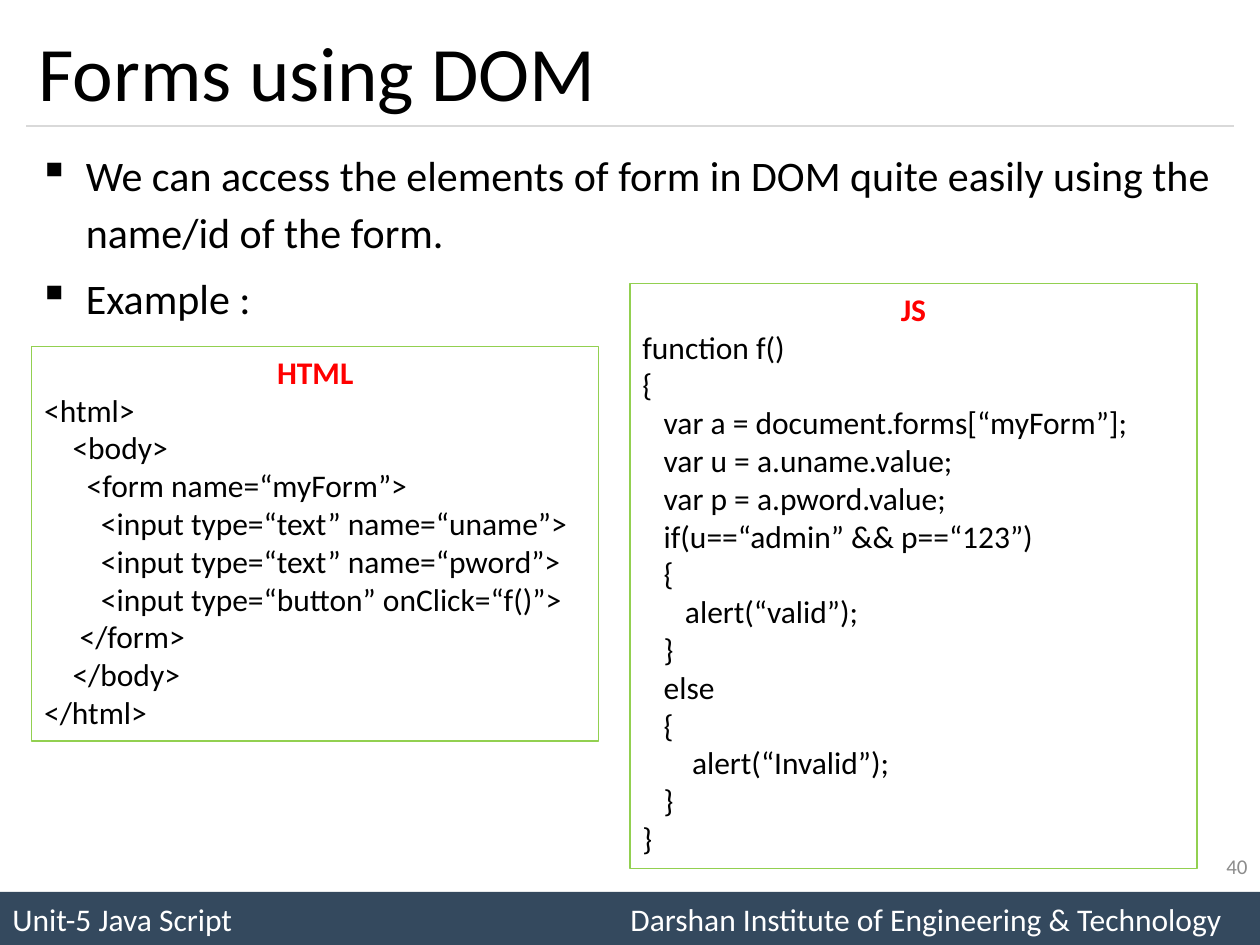
from lxml.etree import SubElement
from pptx import Presentation
from pptx.dml.color import RGBColor
from pptx.enum.shapes import MSO_CONNECTOR, MSO_SHAPE
from pptx.enum.text import MSO_ANCHOR, MSO_AUTO_SIZE, PP_ALIGN
from pptx.oxml.ns import qn
from pptx.util import Cm, Pt

FONT = "Calibri"
COLORS = {
    "text": "000000",
    "heading": "FF0000",
    "number": "8C8C8C",
    "rule": "D9D9D9",
    "frame": "92D050",
    "footer": "34495E",
    "footer_text": "FFFFFF",
}

POINTS = [
    "We can access the elements of form in DOM quite easily using the name/id of the form.",
    "Example :",
]

HTML_CODE = """\
<html>
    <body>
      <form name=“myForm”>
        <input type=“text” name=“uname”>
        <input type=“text” name=“pword”>
        <input type=“button” onClick=“f()”>
     </form>
    </body>
</html>"""

JS_CODE = """\
function f()
{
   var a = document.forms[“myForm”];
   var u = a.uname.value;
   var p = a.pword.value;
   if(u==“admin” && p==“123”)
   {
      alert(“valid”);
   }
   else
   {
       alert(“Invalid”);
   }
}"""


def color(name):
    return RGBColor.from_string(COLORS[name])


def add_run(paragraph, text, size, color_name, bold=False):
    run = paragraph.add_run()
    run.text = text
    run.font.name = FONT
    run.font.size = Pt(size)
    run.font.bold = bold
    run.font.color.rgb = color(color_name)


def add_text(slide, left, top, width, height, anchor=MSO_ANCHOR.TOP):
    frame = slide.shapes.add_textbox(Cm(left), Cm(top), Cm(width), Cm(height)).text_frame
    frame.word_wrap = True
    frame.vertical_anchor = anchor
    return frame


def add_rectangle(slide, left, top, width, height):
    rectangle = slide.shapes.add_shape(
        MSO_SHAPE.RECTANGLE, Cm(left), Cm(top), Cm(width), Cm(height))
    rectangle.shadow.inherit = False
    rectangle.text_frame.word_wrap = True
    return rectangle


def add_rule(slide, left, right, y):
    rule = slide.shapes.add_connector(
        MSO_CONNECTOR.STRAIGHT, Cm(left), Cm(y), Cm(right), Cm(y))
    rule.line.color.rgb = color("rule")
    rule.line.width = Pt(0.75)
    SubElement(rule._element.spPr, qn("a:effectLst"))


def add_footer(slide, unit, institute):
    bar = add_rectangle(slide, 0, 17.98, 25.4, 1.07)
    bar.fill.solid()
    bar.fill.fore_color.rgb = color("footer")
    bar.line.fill.background()
    bar.text_frame.vertical_anchor = MSO_ANCHOR.MIDDLE
    line = bar.text_frame.paragraphs[0]
    line.alignment = PP_ALIGN.LEFT
    # The tab stop places the institute on the right half
    tabs = SubElement(line._p.get_or_add_pPr(), qn("a:tabLst"))
    SubElement(tabs, qn("a:tab"), pos=str(Cm(12.46)), algn="l")
    add_run(line, f"{unit}\t{institute}", 18, "footer_text")


def add_bullets(frame, points):
    for index, point in enumerate(points):
        paragraph = frame.paragraphs[0] if index == 0 else frame.add_paragraph()
        paragraph.line_spacing = 1.14
        if index:
            paragraph.space_before = Pt(4.8)
        properties = paragraph._p.get_or_add_pPr()
        properties.set("marL", str(Cm(0.95)))
        properties.set("indent", str(-Cm(0.95)))
        SubElement(properties, qn("a:buChar"), char="▪")
        add_run(paragraph, point, 24, "text")


def add_code_box(slide, left, top, height, language, code):
    box = add_rectangle(slide, left, top, 11.43, height)
    box.fill.background()
    box.line.color.rgb = color("frame")
    box.line.width = Pt(0.75)
    frame = box.text_frame
    frame.auto_size = MSO_AUTO_SIZE.SHAPE_TO_FIT_TEXT
    frame.vertical_anchor = MSO_ANCHOR.TOP
    heading = frame.paragraphs[0]
    heading.alignment = PP_ALIGN.CENTER
    add_run(heading, language, 18, "heading", bold=True)
    for code_line in code.splitlines():
        paragraph = frame.add_paragraph()
        paragraph.alignment = PP_ALIGN.LEFT
        add_run(paragraph, code_line, 18, "text")


def main():
    deck = Presentation()
    deck.slide_width, deck.slide_height = Cm(25.4), Cm(19.05)
    slide = deck.slides.add_slide(deck.slide_layouts[6])

    # Footer bar and title rule
    add_footer(slide, "Unit-5 Java Script", "Darshan Institute of Engineering & Technology")
    add_rule(slide, 0.53, 24.87, 2.54)

    # Title
    title = add_text(slide, 0.53, 0.3, 24.34, 2.24, MSO_ANCHOR.MIDDLE)
    add_run(title.paragraphs[0], "Forms using DOM", 44, "text")

    # Bullet points
    add_bullets(add_text(slide, 0.53, 2.74, 24.34, 14.8), POINTS)

    # Slide number
    number = add_text(slide, 19.47, 16.95, 5.93, 1.02, MSO_ANCHOR.MIDDLE).paragraphs[0]
    number.alignment = PP_ALIGN.RIGHT
    add_run(number, "40", 12, "number")

    # Code examples
    add_code_box(slide, 0.64, 6.99, 7.95, "HTML", HTML_CODE)
    add_code_box(slide, 12.7, 5.72, 11.79, "JS", JS_CODE)

    deck.save("out.pptx")


if __name__ == "__main__":
    main()
